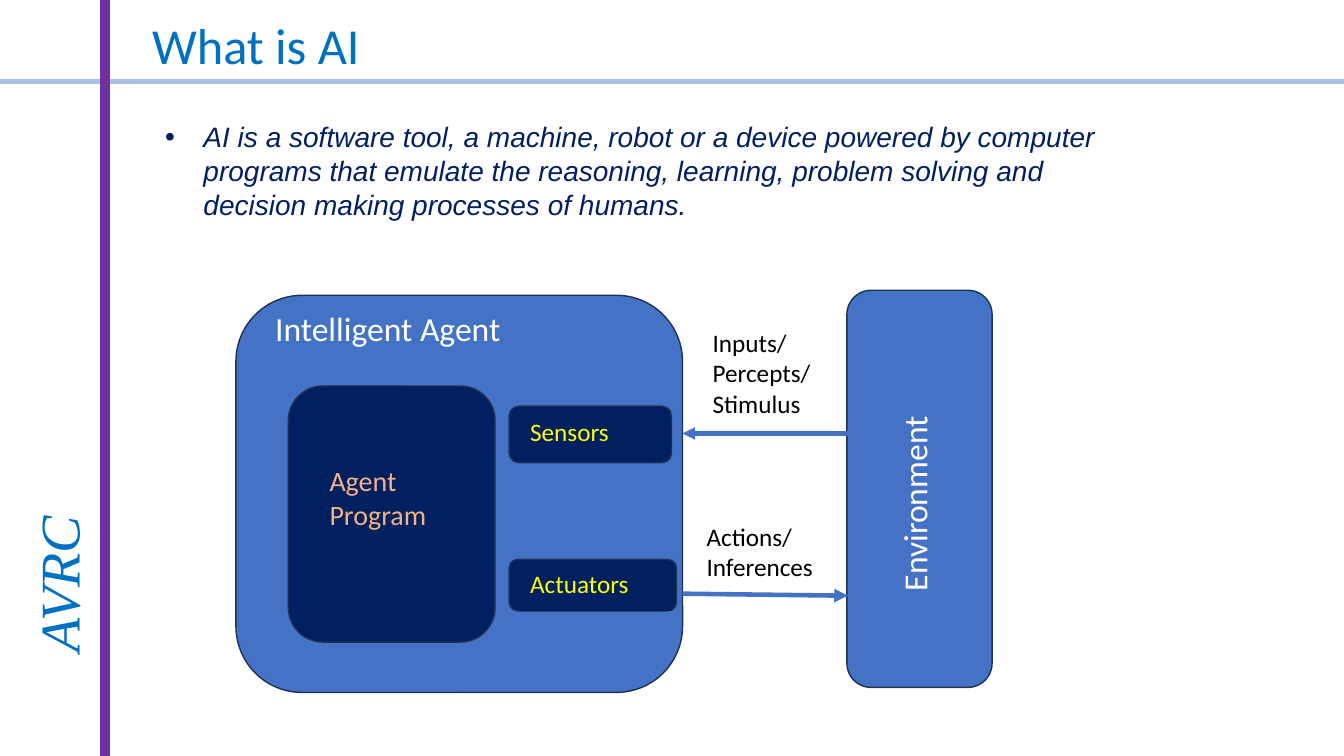
from dataclasses import dataclass

from lxml.etree import SubElement
from pptx import Presentation
from pptx.dml.color import RGBColor
from pptx.enum.shapes import MSO_CONNECTOR, MSO_SHAPE
from pptx.enum.text import MSO_ANCHOR, MSO_AUTO_SIZE, PP_ALIGN
from pptx.oxml.ns import qn
from pptx.util import Inches, Pt


@dataclass(frozen=True)
class Theme:
    # Colours
    sky: str = "0070C0"
    pale: str = "ABC0E4"
    purple: str = "7030A0"
    navy: str = "002060"
    blue: str = "4472C4"
    edge: str = "1E3256"
    white: str = "FFFFFF"
    black: str = "000000"
    peach: str = "F4B183"
    yellow: str = "FFFF00"
    # Type sizes and fonts
    brand: int = 40
    title: int = 36
    head: int = 24
    body: int = 20
    label: int = 18
    sans: str = "Calibri"
    plain: str = "Arial"
    serif: str = "Times New Roman"


THEME = Theme()


def rgb(code):
    return RGBColor.from_string(code)


def fill_text(shape, lines, size, color, font=THEME.sans, italic=False):
    frame = shape.text_frame
    frame.word_wrap = True
    frame.auto_size = MSO_AUTO_SIZE.SHAPE_TO_FIT_TEXT
    frame.vertical_anchor = MSO_ANCHOR.TOP
    for i, line in enumerate(lines):
        para = frame.paragraphs[0] if i == 0 else frame.add_paragraph()
        para.alignment = PP_ALIGN.LEFT
        run = para.add_run()
        run.text = line
        run.font.size = Pt(size)
        run.font.name = font
        run.font.italic = italic
        run.font.color.rgb = rgb(color)


def add_text(shapes, box, lines, size, color, turn=0, **style):
    shape = shapes.add_textbox(*map(Inches, box))
    shape.rotation = turn
    fill_text(shape, lines, size, color, **style)
    return shape


def add_block(shapes, box, color, kind=MSO_SHAPE.ROUNDED_RECTANGLE, edge=THEME.edge):
    shape = shapes.add_shape(kind, *map(Inches, box))
    shape.shadow.inherit = False
    shape.fill.solid()
    shape.fill.fore_color.rgb = rgb(color)
    if edge:
        shape.line.color.rgb = rgb(edge)
        shape.line.width = Pt(1)
    else:
        shape.line.fill.background()
    return shape


def add_part(shapes, box, label_box, lines, size, color):
    """A dark rounded block with a flat label panel on it."""
    add_block(shapes, box, THEME.navy)
    label = add_block(shapes, label_box, THEME.navy, MSO_SHAPE.RECTANGLE, None)
    fill_text(label, lines, size, color)


def add_line(shapes, start, end, color, width, arrow=False):
    line = shapes.add_connector(MSO_CONNECTOR.STRAIGHT, *map(Inches, start + end))
    line.line.color.rgb = rgb(color)
    line.line.width = Pt(width)
    if arrow:
        SubElement(line.line._get_or_add_ln(), qn("a:tailEnd"), type="triangle")
    SubElement(line._element.spPr, qn("a:effectLst"))


def add_bullet(shape, indent):
    props = shape.text_frame.paragraphs[0]._p.get_or_add_pPr()
    props.set("marL", str(Inches(indent)))
    props.set("indent", str(-Inches(indent)))
    SubElement(props, qn("a:buFont"), typeface=THEME.plain)
    SubElement(props, qn("a:buChar"), char="•")


def draw_frame(shapes):
    add_line(shapes, (0, 0.81), (13.33, 0.81), THEME.pale, 3.5)
    add_line(shapes, (1.04, 0), (1.04, 7.5), THEME.purple, 7.25)
    add_text(shapes, (-1.1, 4.52, 3.34, 0.77), ["AVRC"], THEME.brand, THEME.sky,
             turn=270, font=THEME.serif, italic=True)
    add_text(shapes, (1.41, 0.09, 8.67, 0.72), ["What is AI"], THEME.title, THEME.sky)


def draw_agent(shapes):
    # Outer blocks
    add_block(shapes, (2.34, 2.93, 4.43, 3.94), THEME.blue)
    add_block(shapes, (8.4, 2.88, 1.44, 3.94), THEME.blue)
    add_text(shapes, (2.63, 3.01, 2.91, 0.58), ["Intelligent Agent"],
             THEME.head, THEME.white)
    add_text(shapes, (7.98, 4.55, 2.25, 0.58), ["Environment"],
             THEME.head, THEME.white, turn=270)

    # Parts of the agent
    add_part(shapes, (2.86, 3.83, 2.05, 2.54), (3.17, 4.55, 1.66, 1.02),
             ["Agent", "Program"], THEME.body, THEME.peach)
    add_part(shapes, (5.05, 4.03, 1.61, 0.56), (5.16, 4.08, 1.45, 0.47),
             ["Sensors"], THEME.label, THEME.yellow)
    add_part(shapes, (5.05, 5.55, 1.66, 0.51), (5.16, 5.59, 1.51, 0.47),
             ["Actuators"], THEME.label, THEME.yellow)

    # Flows between the agent and its surroundings
    add_line(shapes, (8.41, 4.3), (6.77, 4.3), THEME.blue, 3, arrow=True)
    add_line(shapes, (6.77, 5.89), (8.41, 5.91), THEME.blue, 3.25, arrow=True)
    add_text(shapes, (6.97, 3.2, 1.44, 1.11), ["Inputs/", "Percepts/", "Stimulus"],
             THEME.label, THEME.black)
    add_text(shapes, (6.91, 5.12, 1.5, 0.78), ["Actions/", "Inferences"],
             THEME.label, THEME.black)


def main():
    deck = Presentation()
    deck.slide_width, deck.slide_height = Inches(13.33), Inches(7.5)
    slide = deck.slides.add_slide(deck.slide_layouts[6])

    draw_frame(slide.shapes)
    point = add_text(
        slide.shapes, (1.54, 1.14, 9.57, 1.11),
        ["AI is a software tool, a machine, robot or a device powered by computer "
         "programs that emulate the reasoning, learning, problem solving and "
         "decision making processes of humans."],
        THEME.body, THEME.navy, font=THEME.plain, italic=True)
    add_bullet(point, 0.38)
    draw_agent(slide.shapes.add_group_shape().shapes)

    deck.save("out.pptx")


if __name__ == "__main__":
    main()
